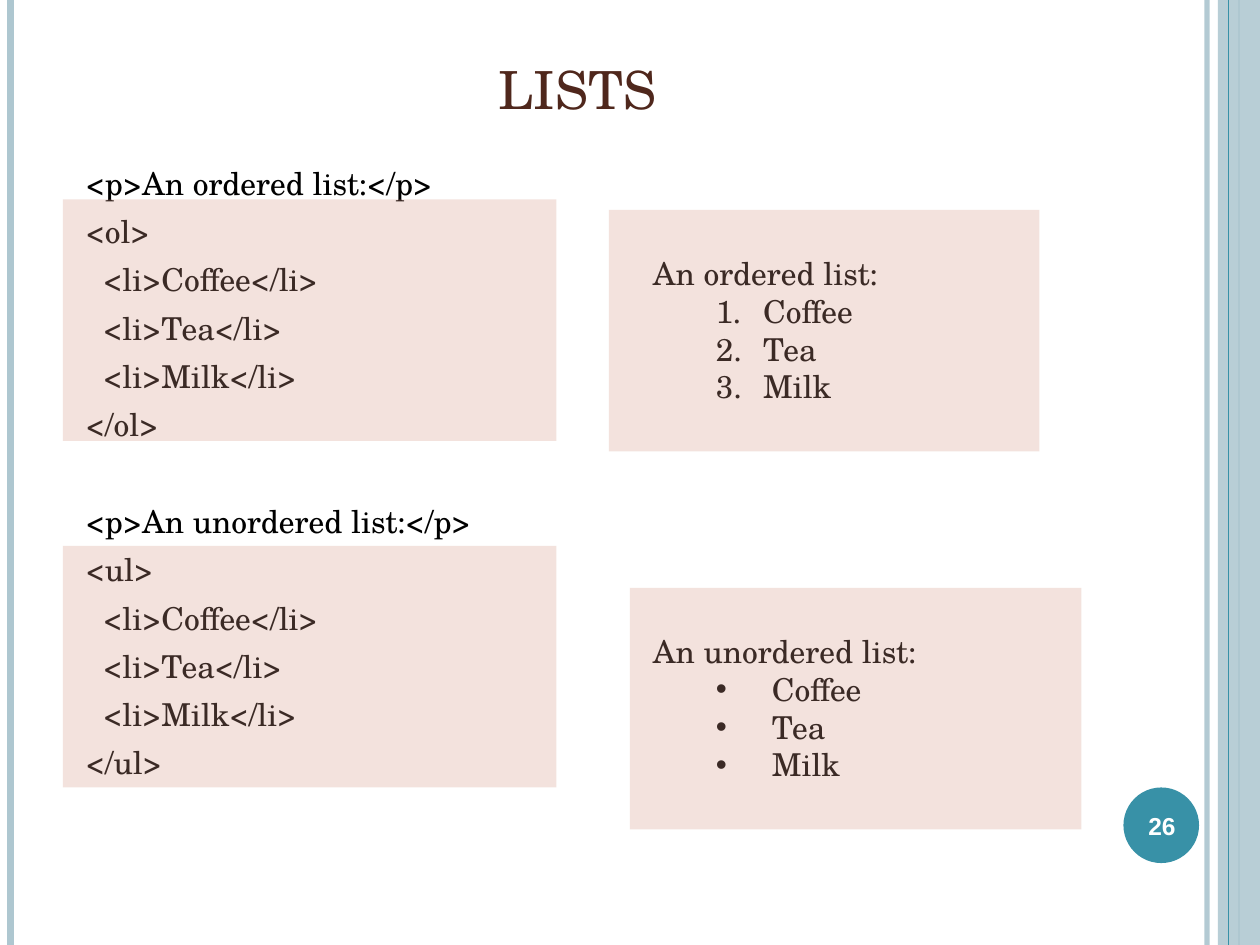
import pptx
import pptx.dml.color
import pptx.enum.shapes
import pptx.enum.text
import pptx.oxml
import pptx.oxml.ns
import pptx.util
from lxml import etree

Pt = pptx.util.Pt
ALIGN = pptx.enum.text.PP_ALIGN
ANCHOR = pptx.enum.text.MSO_ANCHOR
SHAPE = pptx.enum.shapes.MSO_SHAPE

SERIF = "TeX Gyre Schola"
PALE, TEAL, BLUSH = "AEC7D0", "3891A7", "D59988"
BLACK, BROWN, WHITE = "000000", "4F271C", "FFFFFF"
SLIDE_WIDTH, SLIDE_HEIGHT = 720, 540

CODE_FORMAT = {"size": Pt(18), "name": SERIF}
TITLE_FORMAT = {"size": Pt(30), "name": SERIF}
NUMBER_FORMAT = {"size": Pt(14), "name": "Arial", "bold": True}

DRINKS = ["Coffee", "Tea", "Milk"]
NUMBERED = ("buAutoNum", {"type": "arabicPeriod"})
DOTTED = ("buChar", {"char": "•"})


def rgb(hex_string):
    return pptx.dml.color.RGBColor.from_string(hex_string)


def set_alpha(fill_parent, percent):
    """Make the solid colour found below an element partly transparent."""
    color = fill_parent.find(".//" + pptx.oxml.ns.qn("a:srgbClr"))
    alpha = etree.SubElement(color, pptx.oxml.ns.qn("a:alpha"))
    alpha.set("val", str(percent * 1000))


def add_rule(slide, x, width, color, opacity=100):
    """Draw a vertical line over the full height of the slide."""
    rule = slide.shapes.add_connector(
        pptx.enum.shapes.MSO_CONNECTOR.STRAIGHT, Pt(x), Pt(0), Pt(x), Pt(SLIDE_HEIGHT))
    rule.line.width = Pt(width)
    rule.line.color.rgb = rgb(color)
    if opacity < 100:
        set_alpha(rule.line._ln, opacity)
    etree.SubElement(rule._element.spPr, pptx.oxml.ns.qn("a:effectLst"))


def add_panel(slide, kind, box, color, opacity=100):
    panel = slide.shapes.add_shape(kind, *map(Pt, box))
    panel.shadow.inherit = False
    panel.fill.solid()
    panel.fill.fore_color.rgb = rgb(color)
    panel.line.fill.background()
    if opacity < 100:
        set_alpha(panel._element.spPr, opacity)


def add_frame(slide, box, anchor=ANCHOR.TOP):
    frame = slide.shapes.add_textbox(*map(Pt, box)).text_frame
    frame.word_wrap = True
    frame.vertical_anchor = anchor
    return frame


def set_indent(paragraph, margin, hanging):
    properties = paragraph._p.get_or_add_pPr()
    properties.set("marL", str(Pt(margin)))
    properties.set("indent", str(Pt(-hanging)))


def set_bullet(paragraph, bullet):
    tag, attributes = bullet
    properties = paragraph._p.get_or_add_pPr()
    font = etree.SubElement(properties, pptx.oxml.ns.qn("a:buFont"))
    font.set("typeface", SERIF if bullet is NUMBERED else "Arial")
    etree.SubElement(properties, pptx.oxml.ns.qn("a:" + tag), attributes)


def add_line(frame, text, text_format, color, align=ALIGN.LEFT, space_before=0):
    """Fill the frame's first paragraph, or append a further one."""
    is_first = not frame.paragraphs[0].runs
    paragraph = frame.paragraphs[0] if is_first else frame.add_paragraph()
    paragraph.alignment = align
    if not is_first:
        paragraph.space_before = Pt(space_before)
    run = paragraph.add_run()
    run.text = text
    for attribute, value in text_format.items():
        setattr(run.font, attribute, value)
    run.font.color.rgb = rgb(color)
    return paragraph


def add_code(slide, box):
    frame = add_frame(slide, box)
    for kind, tag, gap in (("ordered", "ol", 0), ("unordered", "ul", 33.6)):
        items = [f"  <li>{drink}</li>" for drink in DRINKS]
        lines = [f"<p>An {kind} list:</p>", f"<{tag}>", *items, f"</{tag}>"]
        for index, line in enumerate(lines):
            space = 6 if index else gap
            paragraph = add_line(frame, line, CODE_FORMAT, BLACK, space_before=space)
            set_indent(paragraph, 21.6, 21.6)


def add_rendered_lists(slide, box):
    frame = add_frame(slide, box)
    lists = (("ordered", NUMBERED, 27, 0), ("unordered", DOTTED, 32, 129.6))
    for kind, bullet, hanging, gap in lists:
        add_line(frame, f"An {kind} list:", CODE_FORMAT, BLACK, space_before=gap)
        for drink in DRINKS:
            paragraph = add_line(frame, drink, CODE_FORMAT, BLACK)
            set_indent(paragraph, 36 + hanging, hanging)
            set_bullet(paragraph, bullet)


def add_decoration(slide):
    add_rule(slide, 689.8, 3, PALE, 93)
    add_rule(slide, 6, 4.5, PALE)
    add_rule(slide, 708, 1.5, PALE)
    add_panel(slide, SHAPE.RECTANGLE, (696, 0, 24, SLIDE_HEIGHT), PALE, 87)
    add_rule(slide, 702, 0.75, TEAL)
    add_panel(slide, SHAPE.OVAL, (642, 450, 43.2, 43.2), TEAL)


def main():
    presentation = pptx.Presentation()
    presentation.slide_width = Pt(SLIDE_WIDTH)
    presentation.slide_height = Pt(SLIDE_HEIGHT)
    slide = presentation.slides.add_slide(presentation.slide_layouts[6])

    add_decoration(slide)
    title = add_frame(slide, (36, 21.6, 588, 50.4), ANCHOR.BOTTOM)
    add_line(title, "LISTS", TITLE_FORMAT, BROWN, ALIGN.CENTER)
    add_code(slide, (42, 90, 288, 384))
    number = add_frame(slide, (640, 451.5, 48, 41), ANCHOR.MIDDLE)
    add_line(number, "26", NUMBER_FORMAT, WHITE, ALIGN.CENTER)
    add_rendered_lists(slide, (366, 141.6, 288, 362.4))

    for left, top, width in ((36, 114, 282), (348, 120, 246),
                             (360, 336, 258), (36, 312, 282)):
        add_panel(slide, SHAPE.RECTANGLE, (left, top, width, 138), BLUSH, 28)

    presentation.save("out.pptx")


if __name__ == "__main__":
    main()
